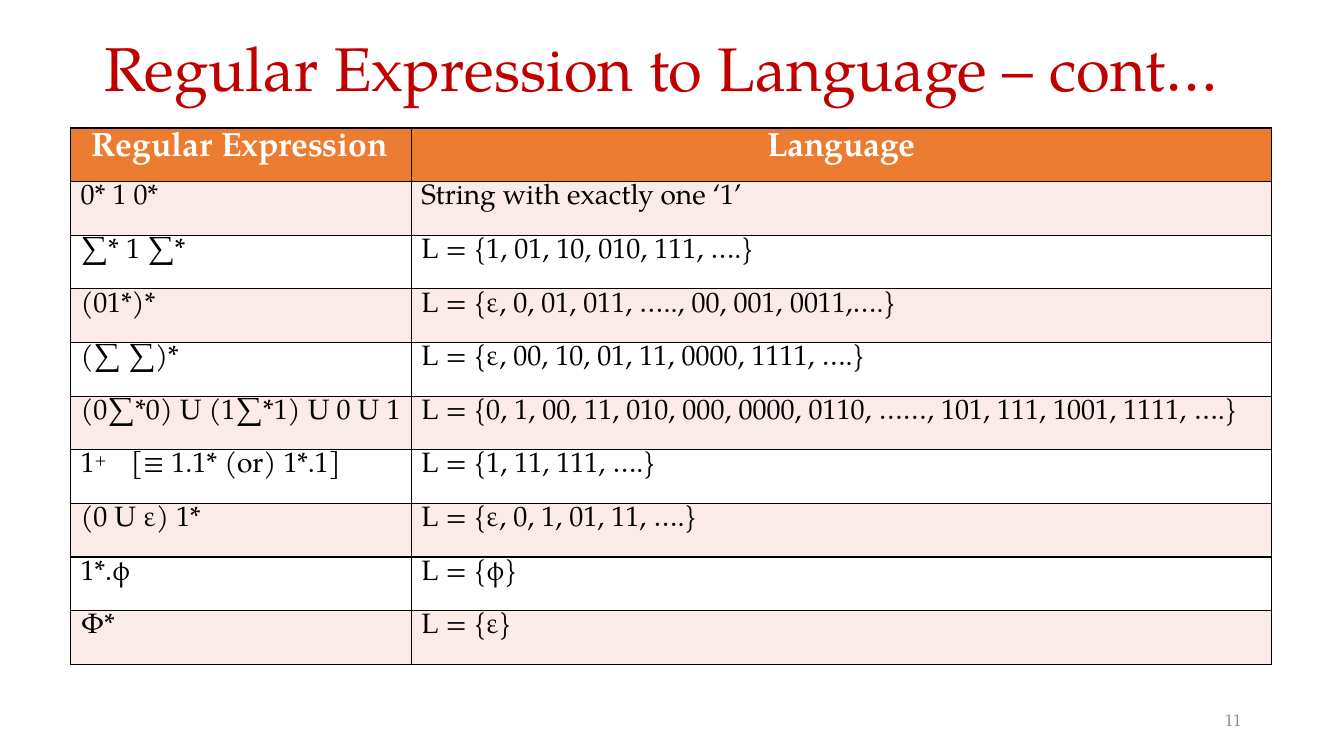
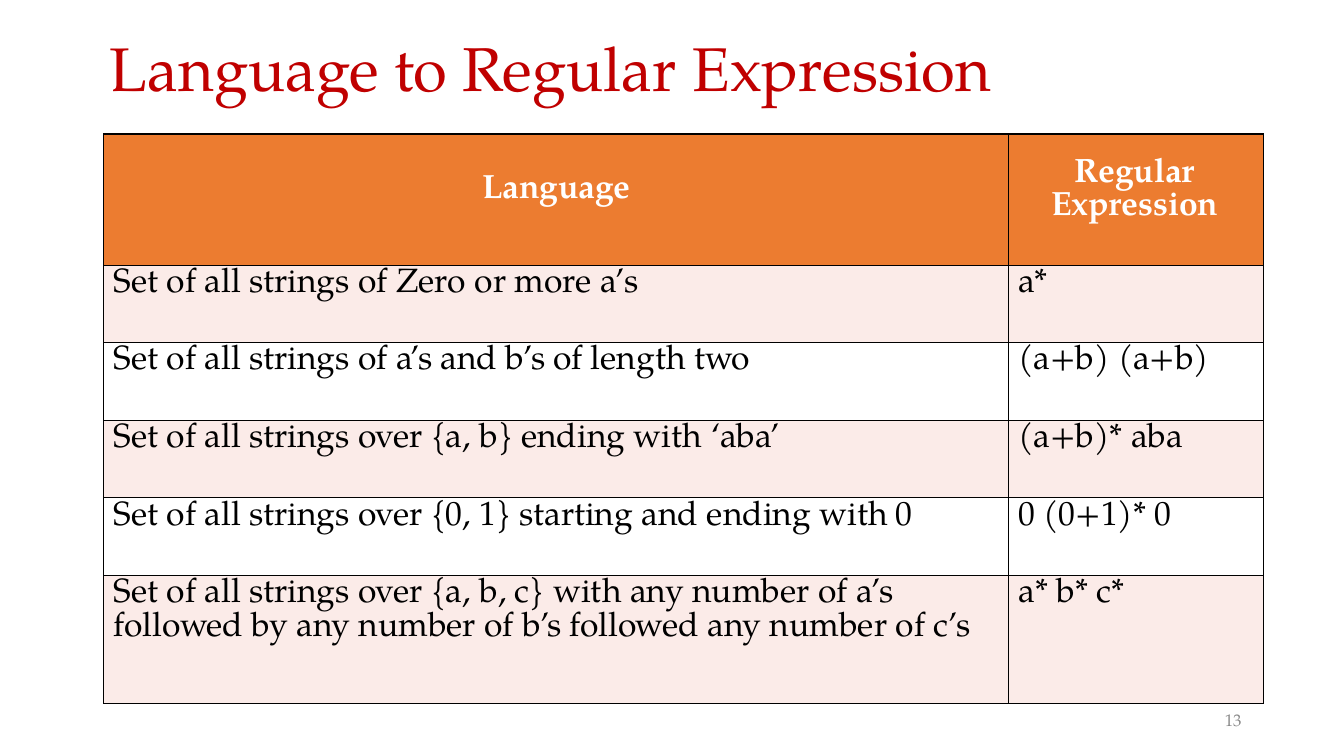
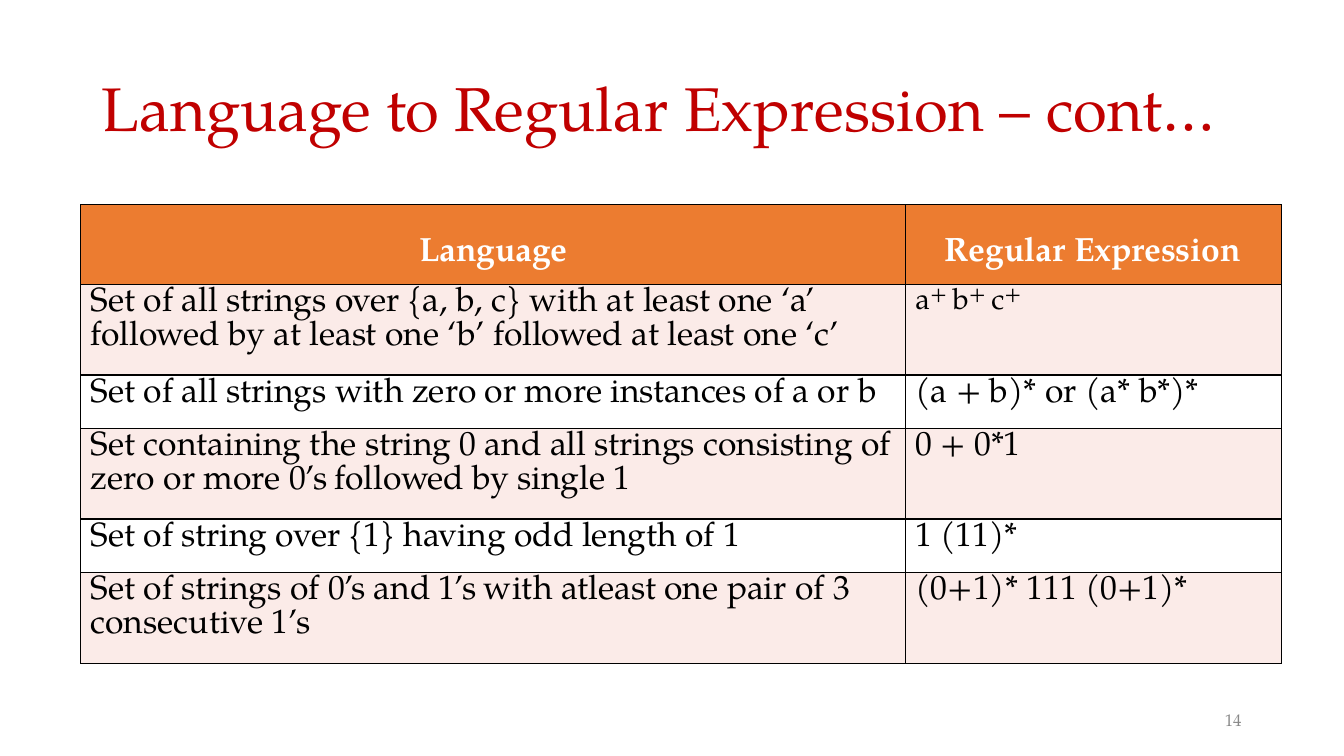
from dataclasses import dataclass

import pptx
import pptx.dml.color
import pptx.enum.text
import pptx.oxml
import pptx.oxml.ns
import pptx.util
from pptx.oxml.ns import qn

RGBColor = pptx.dml.color.RGBColor
PP_ALIGN = pptx.enum.text.PP_ALIGN
ANCHOR = pptx.enum.text.MSO_ANCHOR

# Shared look
PX = 9144  # one hundredth of an inch
FONT = "TeX Gyre Pagella"
RED = RGBColor(0xC0, 0x00, 0x00)
GRAY = RGBColor(0x88, 0x88, 0x88)
BLACK = RGBColor(0x00, 0x00, 0x00)
WHITE = RGBColor(0xFF, 0xFF, 0xFF)
ORANGE = RGBColor(0xEC, 0x7C, 0x30)
PINK = RGBColor(0xFB, 0xEB, 0xE8)


@dataclass(frozen=True)
class Run:
    text: str
    track: float = -0.2  # letter spacing in points
    size: float | None = None
    shift: int = 0  # baseline shift in percent


@dataclass(frozen=True)
class Cell:
    """Paragraphs of one cell; each paragraph is a tuple of strings and runs."""
    paragraphs: tuple
    left: int = 10
    first: int = 0
    top: int = 3
    centered: bool = False
    tab: int = 0


@dataclass(frozen=True)
class TableSlide:
    number: int
    title: tuple
    title_at: tuple[int, int]
    title_indent: int
    table_at: tuple[int, int, int]  # left, top, height
    columns: tuple[int, ...]
    row_shares: tuple[int, ...]
    body_size: int
    header: tuple[Cell, ...]
    rows: tuple


def line(*runs) -> Cell:
    return Cell((runs,))


def lines(*paragraphs) -> Cell:
    return Cell(paragraphs)


def write(frame, paragraphs, *, size: float, color: RGBColor, bold: bool = False,
          left: int = 0, first: int = 0, centered: bool = False, tab: int = 0) -> None:
    frame.word_wrap = True
    for index, runs in enumerate(paragraphs):
        paragraph = frame.paragraphs[0] if index == 0 else frame.add_paragraph()
        props = paragraph._p.get_or_add_pPr()
        props.set("marL", str(left * PX))
        props.set("indent", str(first * PX))
        if tab:
            stops = pptx.oxml.parse_xml(
                f'<a:tabLst {pptx.oxml.ns.nsdecls("a")}><a:tab pos="{tab * PX}" algn="l"/></a:tabLst>')
            props.append(stops)
        paragraph.alignment = PP_ALIGN.CENTER if centered else PP_ALIGN.LEFT
        paragraph.line_spacing = pptx.util.Pt(size)
        for part in runs:
            piece = part if isinstance(part, Run) else Run(part, 0)
            run = paragraph.add_run()
            run.text = piece.text
            run.font.name = FONT
            run.font.size = pptx.util.Pt(piece.size or size)
            run.font.bold = bold
            run.font.color.rgb = color
            run_props = run._r.get_or_add_rPr()
            if piece.track:
                run_props.set("spc", str(round(piece.track * 100)))
            if piece.shift:
                run_props.set("baseline", str(piece.shift * 1000))


def add_text(slide, at: tuple[int, int, int, int], runs, *, anchor=ANCHOR.TOP, **style) -> None:
    frame = slide.shapes.add_textbox(*(v * PX for v in at)).text_frame
    frame.margin_left = frame.margin_top = frame.margin_right = frame.margin_bottom = 0
    frame.vertical_anchor = anchor
    write(frame, (runs,), **style)


def add_borders(cell) -> None:
    props = cell._tc.get_or_add_tcPr()
    for index, side in enumerate(("lnL", "lnR", "lnT", "lnB")):
        props.insert(index, pptx.oxml.parse_xml(
            f'<a:{side} {pptx.oxml.ns.nsdecls("a")} w="12700"><a:solidFill>'
            f'<a:srgbClr val="{BLACK}"/></a:solidFill></a:{side}>'))


def add_grid(slide, page: TableSlide) -> None:
    left, top, height = page.table_at
    contents = (page.header, *page.rows)
    table = slide.shapes.add_table(
        len(contents), len(page.columns), left * PX, top * PX,
        sum(page.columns) * PX, height * PX).table
    table.horz_banding = False
    for column, width in zip(table.columns, page.columns):
        column.width = width * PX
    for row, share in zip(table.rows, page.row_shares):
        row.height = round(height * PX * share / sum(page.row_shares))
    for r, row_cells in enumerate(contents):
        for c, content in enumerate(row_cells):
            cell = table.cell(r, c)
            cell.margin_left = cell.margin_right = cell.margin_bottom = 0
            cell.margin_top = content.top * PX
            cell.vertical_anchor = ANCHOR.TOP
            if r % 2 or r == 0:
                cell.fill.solid()
                cell.fill.fore_color.rgb = PINK if r else ORANGE
            else:
                cell.fill.background()
            add_borders(cell)
            write(cell.text_frame, content.paragraphs,
                  size=page.body_size if r else 24, color=BLACK if r else WHITE,
                  bold=r == 0, left=content.left, first=content.first,
                  centered=content.centered, tab=content.tab)


def add_page(deck, page: TableSlide) -> None:
    slide = deck.slides.add_slide(deck.slide_layouts[6])
    add_text(slide, (1211, 707, 26, 20), (Run(str(page.number)),), size=12, color=GRAY, left=4)
    add_text(slide, (*page.title_at, 1120, 76), page.title, anchor=ANCHOR.BOTTOM,
             size=44, color=RED, left=page.title_indent)
    add_grid(slide, page)


# Content
CONT = Run("cont…", -0.1)
DOTS = Run("….}")
SPACED_DOTS = Run(" ….}")
EXPRESSION = Run("Expression", -0.1)


def language_header(top: int) -> Cell:
    return Cell(((Run("Language", -0.1),),), left=0, top=top, centered=True)


PAGES = (
    TableSlide(
        11, ("Regular Expression to Language – ", CONT), (103, 27), 1,
        (70, 127, 532), (338, 853), (1,) * 10, 20,
        (Cell((("Regular ", EXPRESSION),), left=21, top=4), language_header(4)),
        (
            (line("0* 1 ", Run("0*")), line("String with exactly one", Run(" ‘1’"))),
            (line("∑* 1 ", Run("∑*")), line("L = {1, 01, 10, 010, 111,", SPACED_DOTS)),
            (line(Run("(01*)*", -0.1)),
             line("L = {ε, 0, 01, 011, ….., 00, 001, ", Run("0011,….}", -0.1))),
            (line("(∑ ", Run("∑)*")), line("L = {ε, 00, 10, 01, 11, 0000, 1111,", SPACED_DOTS)),
            (line("(0∑*0) U (1∑*1) U 0 U ", Run("1", -0.5)),
             line("L = {0, 1, 00, 11, 010, 000, 0000, 0110, ……, 101, 111, 1001, 1111, ", DOTS)),
            (Cell((("1", Run("+\t", -0.4, 19.5, 26), "[≡ 1.1* (or) ", Run("1*.1]")),), tab=54),
             line("L = {1, 11, 111, ", DOTS)),
            (line("(0 U ε) ", Run("1*")), line("L = {ε, 0, 1, 01, 11, ", DOTS)),
            (line(Run("1*.ϕ")), line("L = ", Run("{ϕ}"))),
            (line(Run("Φ*")), line("L = ", Run("{ε}"))),
        )),
    TableSlide(
        13, ("Language to Regular ", EXPRESSION), (103, 27), 6,
        (103, 133, 565), (897, 253), (130, 77, 77, 77, 77, 127), 24,
        (language_header(39),
         Cell(((Run("Regular Expression", -0.1),),), left=43, first=23, top=23)),
        (
            (line("Set of all strings of Zero or more ", Run("a’s")), line(Run("a*"))),
            (line("Set of all strings of ", Run("a’s ", -0.6), "and ", Run("b’s ", -0.6),
                  "of length ", Run("two")),
             line("(a+b) ", Run("(a+b)"))),
            (line("Set of all strings over {a, b} ending with ", Run("‘aba’", -0.1)),
             line("(a+b)* ", Run("aba"))),
            (line("Set of all strings over {0, 1} starting and ending with", Run(" 0", -0.5)),
             line("0 (0+1)* ", Run("0", -0.5))),
            (lines(("Set of all strings over {a, b, c} with any number of ", Run("a’s")),
                   ("followed by any number of ", Run("b’s ", -0.6),
                    "followed any number of ", Run("c’s"))),
             line("a* b*", Run(" c*"))),
        )),
    TableSlide(
        14, ("Language to Regular Expression – ", CONT), (100, 67), 1,
        (80, 203, 455), (818, 373), (79, 90, 53, 90, 53, 90), 24,
        (language_header(32), Cell((("Regular ", EXPRESSION),), left=39, top=32)),
        (
            (lines(("Set of all strings over {a, b, c} with at least one ", Run("‘a’")),
                   ("followed by at least one ‘b’ followed at least one ", Run("‘c’"))),
             Cell(((Run("a", 0, 36, -16), Run("+ ", 0, 16), Run("b", 0, 36, -16),
                    Run("+ ", 0, 16), Run("c", -0.4, 36, -16), Run("+", -0.2, 16)),), top=0)),
            (line("Set of all strings with zero or more instances of a or ", Run("b", -0.5)),
             line("(a + b)* or (a* ", Run("b*)*"))),
            (lines(("Set containing the string 0 and all strings consisting ", Run("of")),
                   ("zero or more ", Run("0’s ", -0.6), "followed by single ", Run("1", -0.5))),
             line("0 + ", Run("0*1"))),
            (line("Set of string over {1} having odd length of ", Run("1", -0.5)),
             line("1 ", Run("(11)*", -0.1))),
            (lines(("Set of strings of ", Run("0’s ", -0.6), "and ", Run("1’s ", -0.7),
                    "with atleast one pair of ", Run("3", -0.5)),
                   ("consecutive ", Run("1’s"))),
             line("(0+1)* 111 ", Run("(0+1)*", -0.1))),
        )),
)


def main() -> None:
    deck = pptx.Presentation()
    deck.slide_width = 1333 * PX
    deck.slide_height = 750 * PX
    for page in PAGES:
        add_page(deck, page)
    deck.save("out.pptx")


if __name__ == "__main__":
    main()
